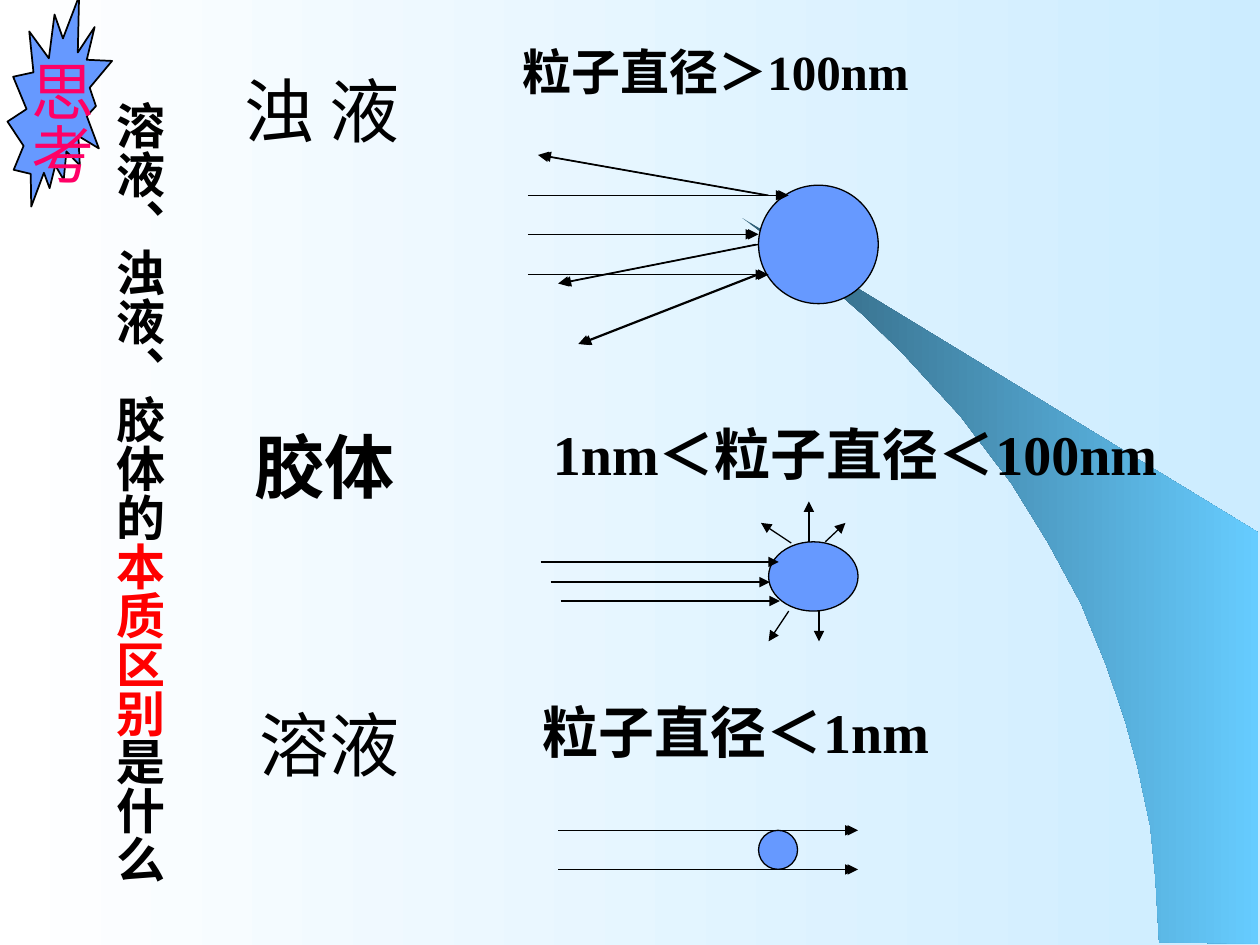
from dataclasses import dataclass
from lxml.etree import SubElement
from pptx import Presentation
from pptx.dml.color import RGBColor
from pptx.enum.shapes import MSO_CONNECTOR as Conn, MSO_SHAPE as Geo
from pptx.enum.text import MSO_AUTO_SIZE as Auto
from pptx.oxml.ns import qn
from pptx.util import Pt

PX = 9144
BLACK = RGBColor(0x00, 0x00, 0x00)
WHITE = RGBColor(0xFF, 0xFF, 0xFF)
PALE = RGBColor(0xCC, 0xEC, 0xFF)
DEEP = RGBColor(0x2F, 0x5E, 0x76)
SKY = RGBColor(0x66, 0xCC, 0xFF)
BLUE = RGBColor(0x66, 0x99, 0xFF)
RED = RGBColor(0xFF, 0x00, 0x00)
PINK = RGBColor(0xFF, 0x00, 0x66)
SERIF, SANS = "Times New Roman", "Noto Sans CJK SC"


@dataclass(frozen=True)
class Run:
    text: str
    color: RGBColor = BLACK
    font: str = SERIF


@dataclass(frozen=True)
class Label:
    x: int
    y: int
    w: int
    h: int
    size: int
    runs: tuple[Run, ...]
    bold: bool = True
    vertical: bool = False


@dataclass(frozen=True)
class Body:
    x: int
    y: int
    w: int
    h: int
    geo: Geo = Geo.OVAL
    line: float = 0.75


@dataclass(frozen=True)
class Arrow:
    x1: int
    y1: int
    x2: int
    y2: int


SWOOSH = [(920, 748), (999, 749), (999, 423), (589, 173), (624, 199), (653, 222),
          (685, 250), (716, 280), (762, 330), (803, 384), (832, 431), (858, 479),
          (878, 528), (893, 572), (903, 609), (913, 656), (917, 696)]

LABELS = [
    Label(184, 49, 157, 77, 40, (Run("浊 液"),), bold=False),
    Label(192, 331, 141, 77, 40, (Run("胶体"),)),
    Label(196, 552, 132, 77, 40, (Run("溶液"),), bold=False),
    Label(405, 28, 512, 57, 28, (Run("粒子直径＞100nm"),)),
    Label(429, 328, 520, 63, 32, (Run("1nm＜粒子直径＜100nm"),)),
    Label(421, 549, 512, 63, 32, (Run("粒子直径＜1nm"),)),
    Label(72, 71, 67, 676, 28, (Run("溶液、浊液、胶体的"), Run("本质区别", RED, SANS),
                                Run("是什么")), vertical=True),
]
SEAL = Body(6, -3, 83, 167, Geo.EXPLOSION2, 1)
SEAL_LABEL = Label(3, 38, 80, 133, 36, (Run("思考", PINK),), bold=False, vertical=True)

PARTICLES = [Body(602, 147, 95, 94), Body(610, 430, 71, 55), Body(602, 659, 31, 31)]

DOUBLED_ARROWS = [
    Arrow(421, 186, 602, 186), Arrow(421, 218, 610, 218), Arrow(421, 155, 626, 155),
    Arrow(602, 194, 445, 225), Arrow(602, 218, 461, 273), Arrow(610, 155, 429, 123),
    Arrow(445, 659, 681, 659), Arrow(445, 690, 681, 690),
]
COLLOID_ARROWS = [
    Arrow(437, 462, 611, 462), Arrow(445, 477, 619, 477), Arrow(429, 446, 618, 446),
    Arrow(642, 430, 642, 398), Arrow(628, 431, 604, 415), Arrow(655, 430, 671, 415),
    Arrow(626, 485, 610, 509), Arrow(650, 485, 650, 509),
]
DOUBLE_SHIFT = 2


def fill_gradient(fill, start: RGBColor, end: RGBColor) -> None:
    fill.gradient()
    fill.gradient_angle = 0
    for stop, color, pos in zip(fill.gradient_stops, (start, end), (0, 1)):
        stop.color.rgb = color
        stop.position = pos


def draw_swoosh(shapes) -> None:
    fb = shapes.build_freeform(*SWOOSH[0], scale=PX)
    fb.add_line_segments(SWOOSH[1:], close=True)
    sp = fb.convert_to_shape()
    sp.shadow.inherit = False
    fill_gradient(sp.fill, DEEP, SKY)
    sp.line.fill.background()


def draw_body(shapes, b: Body) -> None:
    sp = shapes.add_shape(b.geo, b.x * PX, b.y * PX, b.w * PX, b.h * PX)
    sp.shadow.inherit = False
    sp.fill.solid()
    sp.fill.fore_color.rgb = BLUE
    sp.line.color.rgb = BLACK
    sp.line.width = Pt(b.line)


def draw_arrow(shapes, a: Arrow, dx: int = 0) -> None:
    cx = shapes.add_connector(Conn.STRAIGHT, (a.x1 + dx) * PX, a.y1 * PX,
                              (a.x2 + dx) * PX, a.y2 * PX)
    cx.line.color.rgb = BLACK
    cx.line.width = Pt(0.75)
    SubElement(cx.line._get_or_add_ln(), qn("a:tailEnd"), type="triangle")
    SubElement(cx._element.spPr, qn("a:effectLst"))


def draw_label(shapes, lb: Label) -> None:
    tf = shapes.add_textbox(lb.x * PX, lb.y * PX, lb.w * PX, lb.h * PX).text_frame
    for name, value in {"word_wrap": True, "auto_size": Auto.SHAPE_TO_FIT_TEXT}.items():
        setattr(tf, name, value)
    if lb.vertical:
        tf._txBody.bodyPr.set("vert", "eaVert")
    p = tf.paragraphs[0]
    before = SubElement(p._p.get_or_add_pPr(), qn("a:spcBef"))
    SubElement(before, qn("a:spcPct"), val="50000")
    for run in lb.runs:
        r = p.add_run()
        r.text = run.text
        for name, value in {"size": Pt(lb.size), "bold": lb.bold, "name": run.font}.items():
            setattr(r.font, name, value)
        r.font.color.rgb = run.color
        SubElement(r.font._element, qn("a:ea"), typeface=SANS)


def main() -> None:
    prs = Presentation()
    prs.slide_width, prs.slide_height = 1000 * PX, 750 * PX
    slide = prs.slides.add_slide(prs.slide_layouts[6])
    fill_gradient(slide.background.fill, WHITE, PALE)
    shapes = slide.shapes
    draw_swoosh(shapes)
    for body in PARTICLES:
        draw_body(shapes, body)
    for arrow in DOUBLED_ARROWS:
        for dx in (0, -DOUBLE_SHIFT):
            draw_arrow(shapes, arrow, dx)
    for arrow in COLLOID_ARROWS:
        draw_arrow(shapes, arrow)
    for label in LABELS:
        draw_label(shapes, label)
    draw_body(shapes, SEAL)
    draw_label(shapes, SEAL_LABEL)
    prs.save("out.pptx")


if __name__ == "__main__":
    main()
